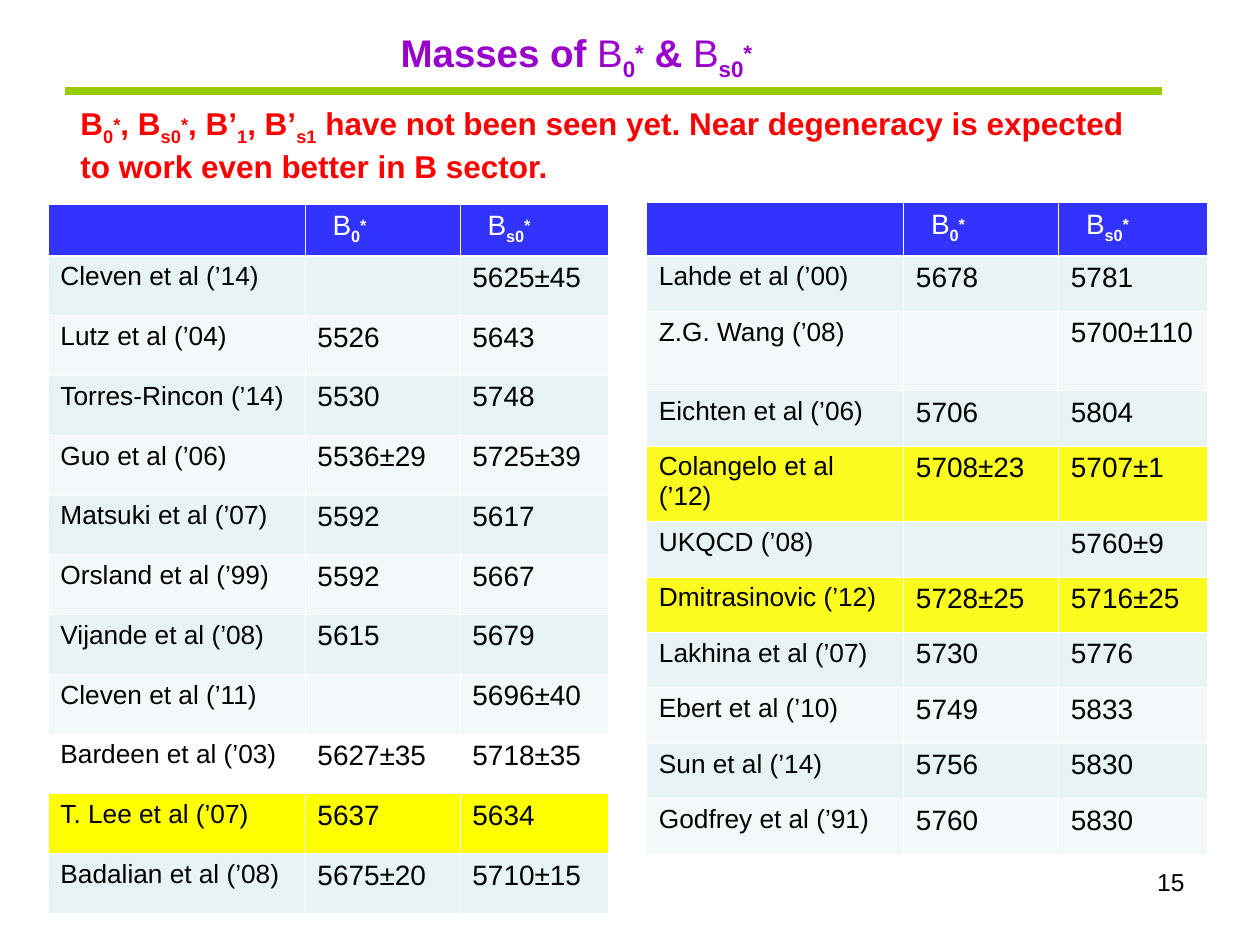
from dataclasses import dataclass
from typing import Optional

from lxml.etree import SubElement
from pptx import Presentation
from pptx.dml.color import RGBColor
from pptx.enum.shapes import MSO_CONNECTOR
from pptx.enum.text import MSO_ANCHOR, MSO_AUTO_SIZE, PP_ALIGN
from pptx.oxml import parse_xml
from pptx.oxml.ns import nsdecls, qn
from pptx.util import Inches, Pt

FONT = "Arial"
WHITE, BLACK, RED, PURPLE = "FFFFFF", "000000", "FF0000", "9900CC"
GREEN, HEADER_BLUE = "99CC00", "3333FF"
BANDS = ("E7F3F4", "F3F9FA")
YELLOW, SOFT_YELLOW = "FFFF00", "FBFB1F"
COLUMN_WIDTHS = (2.04, 1.23, 1.18)
THIN, THICK = 0.45, 1.5


@dataclass(frozen=True)
class Span:
    text: str
    bold: bool = False
    baseline: int = 0


@dataclass(frozen=True)
class Prediction:
    source: str
    b0: str
    bs0: str
    fill: Optional[str] = None
    height: Optional[float] = None


@dataclass(frozen=True)
class MassTable:
    left: float
    top: float
    header_height: float
    row_height: float
    rows: tuple[Prediction, ...]


def meson(name: str, index: str, star: bool = True, bold: bool = False) -> list[Span]:
    """Spans of a meson symbol with its subscript and optional star."""
    spans = [Span(name, bold), Span(index, True, -25)]
    return spans + [Span("*", True, 15)] if star else spans


B0, BS0 = meson("B", "0"), meson("B", "s0")

LEFT_TABLE = MassTable(0.38, 1.62, 0.41, (5.63 - 0.41) / 11, (
    Prediction("Cleven et al (’14)", "", "5625±45"),
    Prediction("Lutz et al (’04)", "5526", "5643"),
    Prediction("Torres-Rincon (’14)", "5530", "5748"),
    Prediction("Guo et al (’06)", "5536±29", "5725±39"),
    Prediction("Matsuki et al (’07)", "5592", "5617"),
    Prediction("Orsland et al (’99)", "5592", "5667"),
    Prediction("Vijande et al (’08)", "5615", "5679"),
    Prediction("Cleven et al (’11)", "", "5696±40"),
    Prediction("Bardeen et al (’03)", "5627±35", "5718±35", WHITE),
    Prediction("T. Lee et al (’07)", "5637", "5634", YELLOW),
    Prediction("Badalian et al (’08)", "5675±20", "5710±15"),
))

RIGHT_TABLE = MassTable(5.13, 1.61, 0.42, 0.44, (
    Prediction("Lahde et al (’00)", "5678", "5781"),
    Prediction("Z.G. Wang (’08)", "", "5700±110", height=0.63),
    Prediction("Eichten et al (’06)", "5706", "5804"),
    Prediction("Colangelo et al (’12)", "5708±23", "5707±1", SOFT_YELLOW, 0.6),
    Prediction("UKQCD (’08)", "", "5760±9"),
    Prediction("Dmitrasinovic (’12)", "5728±25", "5716±25", SOFT_YELLOW),
    Prediction("Lakhina et al (’07)", "5730", "5776"),
    Prediction("Ebert et al (’10)", "5749", "5833"),
    Prediction("Sun et al (’14)", "5756", "5830"),
    Prediction("Godfrey et al (’91)", "5760", "5830"),
))


def paint(color_format, color: str) -> None:
    color_format.rgb = RGBColor.from_string(color)


def write(frame, spans: list[Span], *, size: float, color: str = BLACK,
          align=PP_ALIGN.LEFT) -> None:
    para = frame.paragraphs[0]
    para.alignment = align
    para.font.size = Pt(size)
    for span in spans:
        run = para.add_run()
        run.text = span.text
        run.font.name, run.font.size, run.font.bold = FONT, Pt(size), span.bold
        paint(run.font.color, color)
        if span.baseline:
            run.font._element.set("baseline", str(span.baseline * 1000))


def place(box, left: float, top: float, width: float, height: float):
    """Position a text shape and return its frame, wrapped and top-anchored."""
    box.left, box.top = Inches(left), Inches(top)
    box.width, box.height = Inches(width), Inches(height)
    frame = box.text_frame
    frame.word_wrap = True
    frame.auto_size = MSO_AUTO_SIZE.NONE
    frame.vertical_anchor = MSO_ANCHOR.TOP
    return frame


def add_text(page, left: float, top: float, width: float, height: float,
             spans: list[Span], **style) -> None:
    box = page.shapes.add_textbox(0, 0, 0, 0)
    write(place(box, left, top, width, height), spans, **style)


def set_borders(cell, top: float, bottom: float) -> None:
    properties = cell._tc.get_or_add_tcPr()
    for side, width in (("L", THIN), ("R", THIN), ("T", top), ("B", bottom)):
        properties.append(parse_xml(
            f'<a:ln{side} {nsdecls("a")} w="{Pt(width)}"><a:solidFill>'
            f'<a:srgbClr val="{WHITE}"/></a:solidFill></a:ln{side}>'))


def add_mass_table(page, spec_table: MassTable) -> None:
    heights = [spec_table.header_height]
    heights += [row.height or spec_table.row_height for row in spec_table.rows]
    table = page.shapes.add_table(
        len(heights), len(COLUMN_WIDTHS), Inches(spec_table.left),
        Inches(spec_table.top), Inches(sum(COLUMN_WIDTHS)),
        Inches(sum(heights))).table
    table.horz_banding = False
    for column, width in zip(table.columns, COLUMN_WIDTHS):
        column.width = Inches(width)
    for row, height in zip(table.rows, heights):
        row.height = Inches(height)

    def fill_cell(row: int, column: int, spans: list[Span], fill: str, **style):
        cell = table.cell(row, column)
        set_borders(cell, THICK if row == 1 else THIN, THICK if row == 0 else THIN)
        cell.fill.solid()
        paint(cell.fill.fore_color, fill)
        cell.margin_left = Inches(0.22 if row == 0 else 0.1)
        cell.margin_right = Inches(0.05 if column else 0.1)
        write(cell.text_frame, spans, **style)

    for column, spans in enumerate(([], B0, BS0)):
        fill_cell(0, column, spans, HEADER_BLUE, size=16, color=WHITE)
    for index, row in enumerate(spec_table.rows):
        for column, text in enumerate((row.source, row.b0, row.bs0)):
            fill_cell(index + 1, column, [Span(text)] if text else [],
                      row.fill or BANDS[index % 2], size=16 if column else 15)


def add_rule(page) -> None:
    rule = page.shapes.add_connector(MSO_CONNECTOR.STRAIGHT, Inches(0.52),
                                     Inches(0.72), Inches(9.22), Inches(0.72))
    rule.line.width = Pt(4.5)
    paint(rule.line.color, GREEN)
    SubElement(rule._element.spPr, qn("a:effectLst"))


def main() -> None:
    deck = Presentation()
    deck.slide_width, deck.slide_height = Inches(10), Inches(7.5)
    page = deck.slides.add_slide(deck.slide_layouts[5])

    title = place(page.shapes.title, 3.08, 0.18, 4.46, 0.52)
    write(title, [Span("Masses of ", True), *B0, Span(" & ", True), *BS0],
          size=22, color=PURPLE)
    add_rule(page)

    comma = Span(", ", True)
    add_text(page, 0.54, 0.78, 8.74, 1.04, [
        *meson("B", "0", bold=True), comma,
        *meson("B", "s0", bold=True), comma,
        *meson("B’", "1", star=False, bold=True), comma,
        *meson("B’", "s1", star=False, bold=True),
        Span(" have not been seen yet. Near degeneracy is expected "
             "to work even better in B sector.", True),
    ], size=18, color=RED)

    for table in (LEFT_TABLE, RIGHT_TABLE):
        add_mass_table(page, table)
    add_text(page, 7.17, 6.83, 2.33, 0.52, [Span("15")], size=14,
             align=PP_ALIGN.RIGHT)
    deck.save("out.pptx")


if __name__ == "__main__":
    main()
